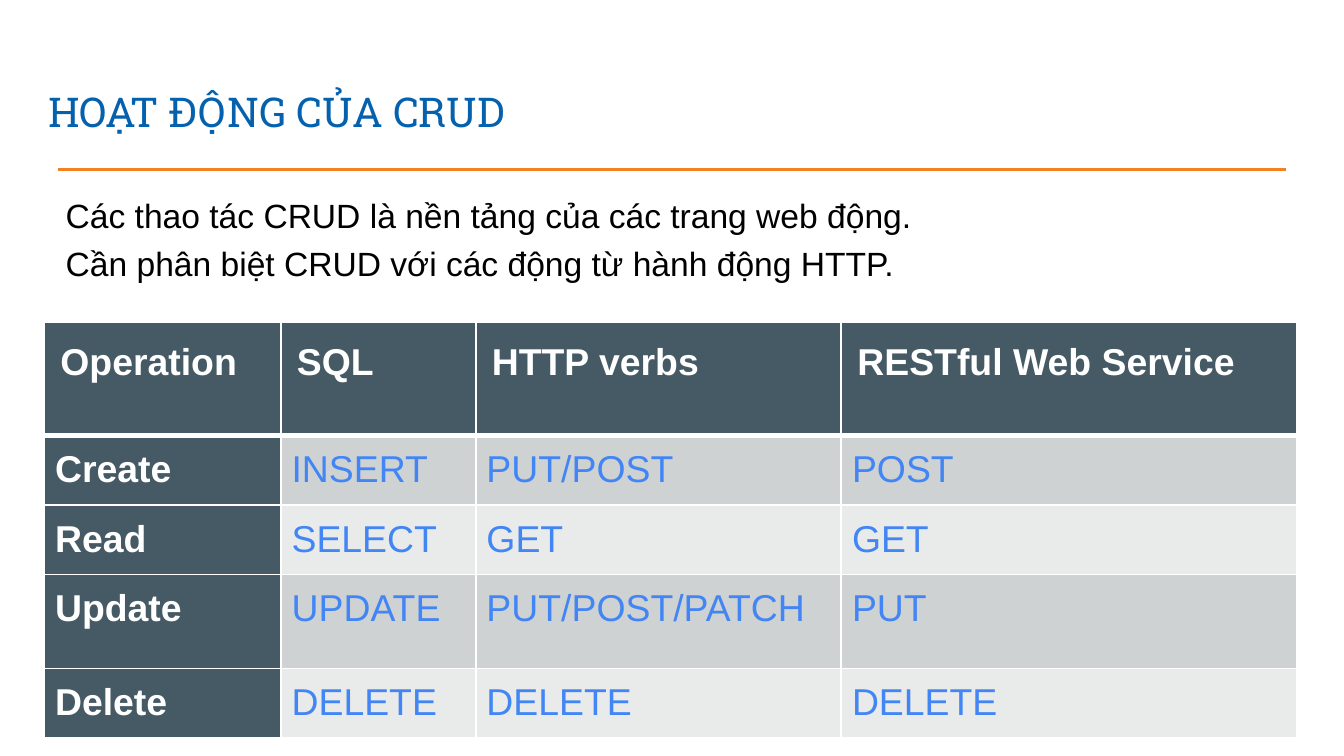
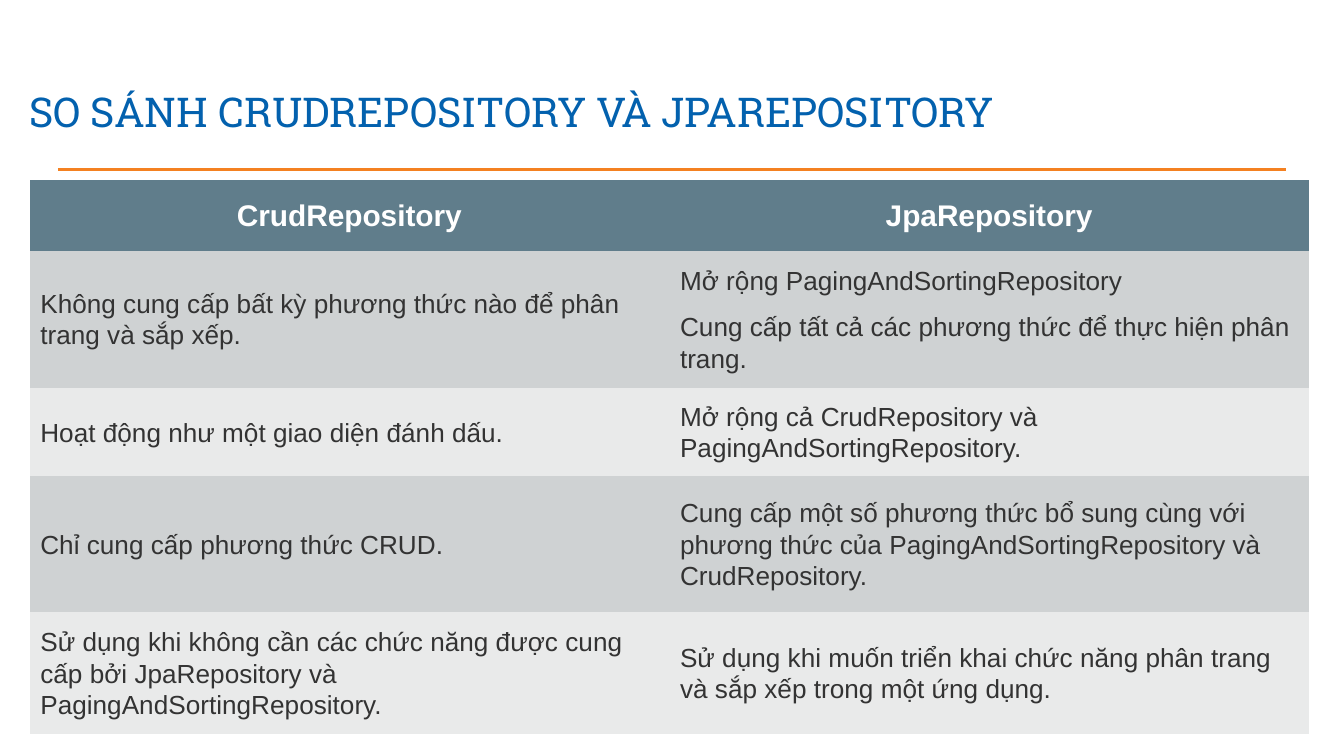
from lxml import etree
from pptx import Presentation
from pptx.dml.color import RGBColor
from pptx.enum.shapes import MSO_CONNECTOR
from pptx.enum.text import MSO_ANCHOR, PP_ALIGN
from pptx.oxml.ns import qn
from pptx.util import Inches, Pt

STRAIGHT = MSO_CONNECTOR.STRAIGHT
TOP, MIDDLE, BOTTOM = MSO_ANCHOR.TOP, MSO_ANCHOR.MIDDLE, MSO_ANCHOR.BOTTOM
LEFT, CENTER, JUSTIFY = PP_ALIGN.LEFT, PP_ALIGN.CENTER, PP_ALIGN.JUSTIFY

COLORS = {
    "white": "FFFFFF", "black": "000000", "title": "0361AE", "rule": "F48121",
    "slate": "455A64", "steel": "607D8B", "odd": "CFD2D3", "even": "E9EAEA",
    "link": "4285F4", "body": "333333",
}
PLAIN_TABLE = "{2D5ABB26-0587-4C30-8999-92F81FD0307C}"
SIDES = ("L", "R", "T", "B")
MARGINS = ("margin_left", "margin_top", "margin_right", "margin_bottom")

OPERATIONS = [
    ["Operation", "SQL", "HTTP verbs", "RESTful Web Service"],
    ["Create", "INSERT", "PUT/POST", "POST"],
    ["Read", "SELECT", "GET", "GET"],
    ["Update", "UPDATE", "PUT/POST/PATCH", "PUT"],
    ["Delete", "DELETE", "DELETE", "DELETE"],
]
REPOSITORIES = [
    ["CrudRepository", "JpaRepository"],
    ["Không cung cấp bất kỳ phương thức nào để phân trang và sắp xếp.",
     "Mở rộng PagingAndSortingRepository\n"
     "Cung cấp tất cả các phương thức để thực hiện phân trang."],
    ["Hoạt động như một giao diện đánh dấu.",
     "Mở rộng cả CrudRepository và PagingAndSortingRepository."],
    ["Chỉ cung cấp phương thức CRUD.",
     "Cung cấp một số phương thức bổ sung cùng với phương thức của "
     "PagingAndSortingRepository và CrudRepository."],
    ["Sử dụng khi không cần các chức năng được cung cấp bởi JpaRepository và "
     "PagingAndSortingRepository.",
     "Sử dụng khi muốn triển khai chức năng phân trang và sắp xếp trong một ứng dụng."],
]
CRUD_NOTES = ("Các thao tác CRUD là nền tảng của các trang web động.\n"
              "Cần phân biệt CRUD với các động từ hành động HTTP.")


def rgb(color):
    return RGBColor.from_string(COLORS[color])


def set_all(target, values):
    for attribute, value in values.items():
        setattr(target, attribute, value)


def write(frame, text, color, font, paragraph):
    frame.text = text
    for line in frame.paragraphs:
        set_all(line, paragraph)
        for run in line.runs:
            set_all(run.font, font)
            run.font.color.rgb = rgb(color)


def add_text(slide, box, text, color, font, paragraph, anchor=TOP, inset=None):
    frame = slide.shapes.add_textbox(*map(Inches, box)).text_frame
    set_all(frame, {"word_wrap": True, "vertical_anchor": anchor})
    if inset:
        set_all(frame, dict.fromkeys(MARGINS, Inches(inset)))
    write(frame, text, color, font, paragraph)


def add_heading(slide, box, text):
    rule = slide.shapes.add_connector(
        STRAIGHT, Inches(0.43), Inches(1.26), Inches(9.57), Inches(1.26))
    rule.line.color.rgb = rgb("rule")
    rule.line.width = Pt(1.5)
    etree.SubElement(rule.element.spPr, qn("a:effectLst"))
    add_text(slide, box, text, "title", {"size": Pt(22), "name": "Roboto Slab"},
             {"alignment": LEFT}, BOTTOM, 0.1)


def add_borders(cell, widths):
    properties = cell._tc.get_or_add_tcPr()
    for position, (side, width) in enumerate(zip(SIDES, widths)):
        border = etree.Element(qn("a:ln" + side), w=str(Pt(width)))
        fill = etree.SubElement(border, qn("a:solidFill"))
        etree.SubElement(fill, qn("a:srgbClr"), val=COLORS["white"])
        properties.insert(position, border)


def add_grid(slide, box, rows, widths, heights, style_cell):
    frame = slide.shapes.add_table(len(rows), len(widths), *map(Inches, box))
    for style in frame._element.iter(qn("a:tableStyleId")):
        style.text = PLAIN_TABLE
    table = frame.table
    for column, width in zip(table.columns, widths):
        column.width = Inches(width)
    for row, height in zip(table.rows, heights):
        row.height = Inches(height)
    frame.height = Inches(box[3])
    for r, texts in enumerate(rows):
        for c, text in enumerate(texts):
            cell = table.cell(r, c)
            look = style_cell(r, c)
            inset = Inches(0.08 if r else 0.12)
            set_all(cell, dict.fromkeys(MARGINS, inset))
            cell.vertical_anchor = look["anchor"]
            cell.fill.solid()
            cell.fill.fore_color.rgb = rgb(look["fill"])
            write(cell.text_frame, text, look["color"],
                  {"name": "Arial", "size": Pt(look["size"]), "bold": look["bold"]},
                  {"line_spacing": 1.07, **look["paragraph"]})
            if "borders" in look:
                add_borders(cell, look["borders"])


def band(row):
    return "odd" if row % 2 else "even"


def operation_cell(row, column):
    is_label = row == 0 or column == 0
    top = 3 if row == 1 else 1
    bottom = 1 if row else 3
    return {
        "anchor": TOP, "size": 20, "bold": is_label,
        "fill": "slate" if is_label else band(row),
        "color": "white" if is_label else "link",
        "paragraph": {"alignment": JUSTIFY if row else LEFT},
        "borders": (1, 1, top, bottom),
    }


def repository_cell(row, column):
    if row == 0:
        return {"anchor": MIDDLE, "size": 16, "bold": True, "fill": "steel",
                "color": "white", "paragraph": {"alignment": CENTER}}
    return {"anchor": MIDDLE, "size": 14, "bold": False, "fill": band(row),
            "color": "body", "paragraph": {"alignment": LEFT, "space_after": Pt(8)}}


def build_operations(slide):
    add_heading(slide, (0.26, 0.49, 9.32, 0.62), "HOẠT ĐỘNG CỦA CRUD")
    add_grid(slide, (0.33, 2.4, 9.32, 3.11), OPERATIONS, (1.76, 1.45, 2.72, 3.39),
             (0.84, 0.44, 0.44, 0.7, 0.44), operation_cell)
    add_text(slide, (0.39, 1.34, 9.28, 0.79), CRUD_NOTES, "black",
             {"size": Pt(18), "name": "Arial"},
             {"alignment": JUSTIFY, "line_spacing": 1.2})


def build_repositories(slide):
    add_heading(slide, (0.12, 0.49, 9.32, 0.62), "SO SÁNH CRUDREPOSITORY VÀ JPAREPOSITORY")
    add_grid(slide, (0.22, 1.34, 9.52, 4.16), REPOSITORIES, (4.76, 4.76),
             (0.5, 0.92, 0.55, 1.01, 0.8), repository_cell)


def main():
    deck = Presentation()
    set_all(deck, {"slide_width": Inches(10), "slide_height": Inches(10 * 9 / 16)})
    for build in (build_operations, build_repositories):
        build(deck.slides.add_slide(deck.slide_layouts[6]))
    deck.save("out.pptx")


if __name__ == "__main__":
    main()
